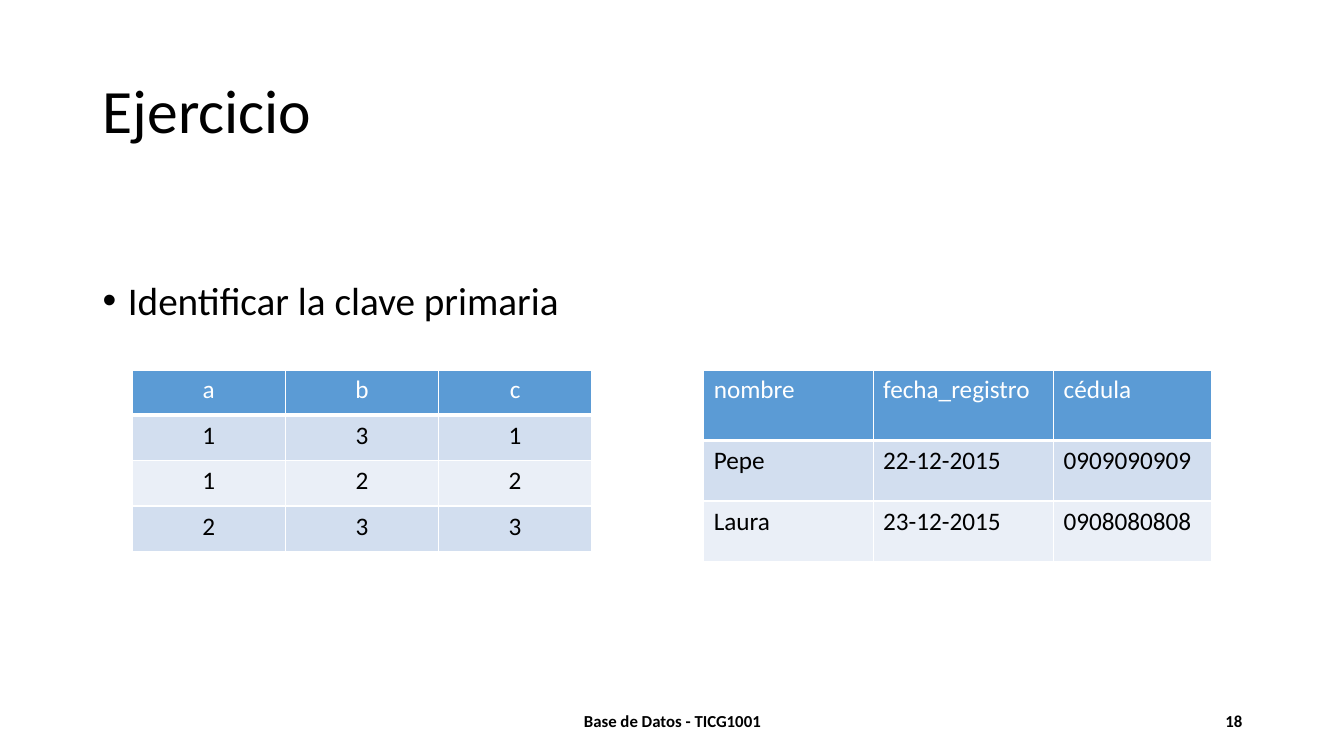
import pptx
import pptx.dml.color
import pptx.enum.text
import pptx.oxml.ns
import pptx.util
from lxml import etree

Inches = pptx.util.Inches
Pt = pptx.util.Pt
RGBColor = pptx.dml.color.RGBColor
Align = pptx.enum.text.PP_ALIGN
Anchor = pptx.enum.text.MSO_ANCHOR
qn = pptx.oxml.ns.qn

BLACK = RGBColor(0x00, 0x00, 0x00)
WHITE = RGBColor(0xFF, 0xFF, 0xFF)
HEADER_BLUE = RGBColor(0x5B, 0x9B, 0xD5)
BAND_DARK = RGBColor(0xD2, 0xDE, 0xEF)
BAND_LIGHT = RGBColor(0xEA, 0xEF, 0xF7)


class SlideBuilder:
    font_name = "Calibri"
    table_text_size = 18

    def __init__(self, slide):
        self.slide = slide

    def add_run(self, paragraph, text, size, color=BLACK, bold=False, align=Align.LEFT):
        paragraph.alignment = align
        run = paragraph.add_run()
        run.text = text
        run.font.name = self.font_name
        run.font.size = Pt(size)
        run.font.bold = bold
        run.font.color.rgb = color

    def add_text(self, left, top, width, height, text, size, bold=False,
                 align=Align.LEFT, anchor=Anchor.MIDDLE, line_spacing=1.0, bullet=False):
        shape = self.slide.shapes.add_textbox(
            Inches(left), Inches(top), Inches(width), Inches(height))
        frame = shape.text_frame
        frame.word_wrap = True
        frame.vertical_anchor = anchor
        paragraph = frame.paragraphs[0]
        if bullet:
            self.add_bullet(paragraph)
        paragraph.line_spacing = line_spacing
        self.add_run(paragraph, text, size, bold=bold, align=align)

    def add_bullet(self, paragraph):
        properties = paragraph._p.get_or_add_pPr()
        properties.set("marL", str(Inches(0.25)))
        properties.set("indent", str(Inches(-0.25)))
        font = etree.SubElement(properties, qn("a:buFont"))
        font.set("typeface", "Arial")
        character = etree.SubElement(properties, qn("a:buChar"))
        character.set("char", "•")

    def add_borders(self, cell, bottom_width):
        properties = cell._tc.get_or_add_tcPr()
        widths = {"a:lnL": 1, "a:lnR": 1, "a:lnT": 1, "a:lnB": bottom_width}
        for side, width in widths.items():
            line = etree.SubElement(properties, qn(side))
            line.set("w", str(Pt(width)))
            fill = etree.SubElement(line, qn("a:solidFill"))
            color = etree.SubElement(fill, qn("a:srgbClr"))
            color.set("val", str(WHITE))

    def add_table(self, left, top, column_widths, row_heights, rows, align):
        shape = self.slide.shapes.add_table(
            len(rows), len(column_widths), Inches(left), Inches(top),
            Inches(sum(column_widths)), Inches(sum(row_heights)))
        table = shape.table
        for column, width in zip(table.columns, column_widths):
            column.width = Inches(width)
        for row, height in zip(table.rows, row_heights):
            row.height = Inches(height)
        for row_index, values in enumerate(rows):
            is_header = row_index == 0
            band = BAND_DARK if row_index % 2 else BAND_LIGHT
            for column_index, value in enumerate(values):
                cell = table.cell(row_index, column_index)
                self.add_borders(cell, 3 if is_header else 1)
                cell.fill.solid()
                cell.fill.fore_color.rgb = HEADER_BLUE if is_header else band
                self.add_run(cell.text_frame.paragraphs[0], value, self.table_text_size,
                             color=WHITE if is_header else BLACK, align=align)


def main():
    presentation = pptx.Presentation()
    presentation.slide_width = Inches(13.33)
    presentation.slide_height = Inches(7.5)
    builder = SlideBuilder(presentation.slides.add_slide(presentation.slide_layouts[6]))

    builder.add_text(0.92, 0.4, 11.5, 1.45, "Ejercicio", 44, line_spacing=0.9)
    builder.add_text(0.92, 2.74, 5.64, 4.03, "Identificar la clave primaria", 28,
                     anchor=Anchor.TOP, line_spacing=0.9, bullet=True)
    builder.add_text(4.42, 6.95, 4.5, 0.4, "Base de Datos - TICG1001", 12,
                     bold=True, align=Align.CENTER)
    builder.add_text(9.42, 6.95, 3, 0.4, "18", 12, bold=True, align=Align.RIGHT)

    builder.add_table(1.31, 3.67, [1.52] * 3, [0.45] * 4, [
        ("a", "b", "c"),
        ("1", "3", "1"),
        ("1", "2", "2"),
        ("2", "3", "3"),
    ], Align.CENTER)
    builder.add_table(6.98, 3.67, [1.68, 1.79, 1.57], [0.7, 0.6, 0.6], [
        ("nombre", "fecha_registro", "cédula"),
        ("Pepe", "22-12-2015", "0909090909"),
        ("Laura", "23-12-2015", "0908080808"),
    ], Align.LEFT)

    presentation.save("out.pptx")


if __name__ == "__main__":
    main()
